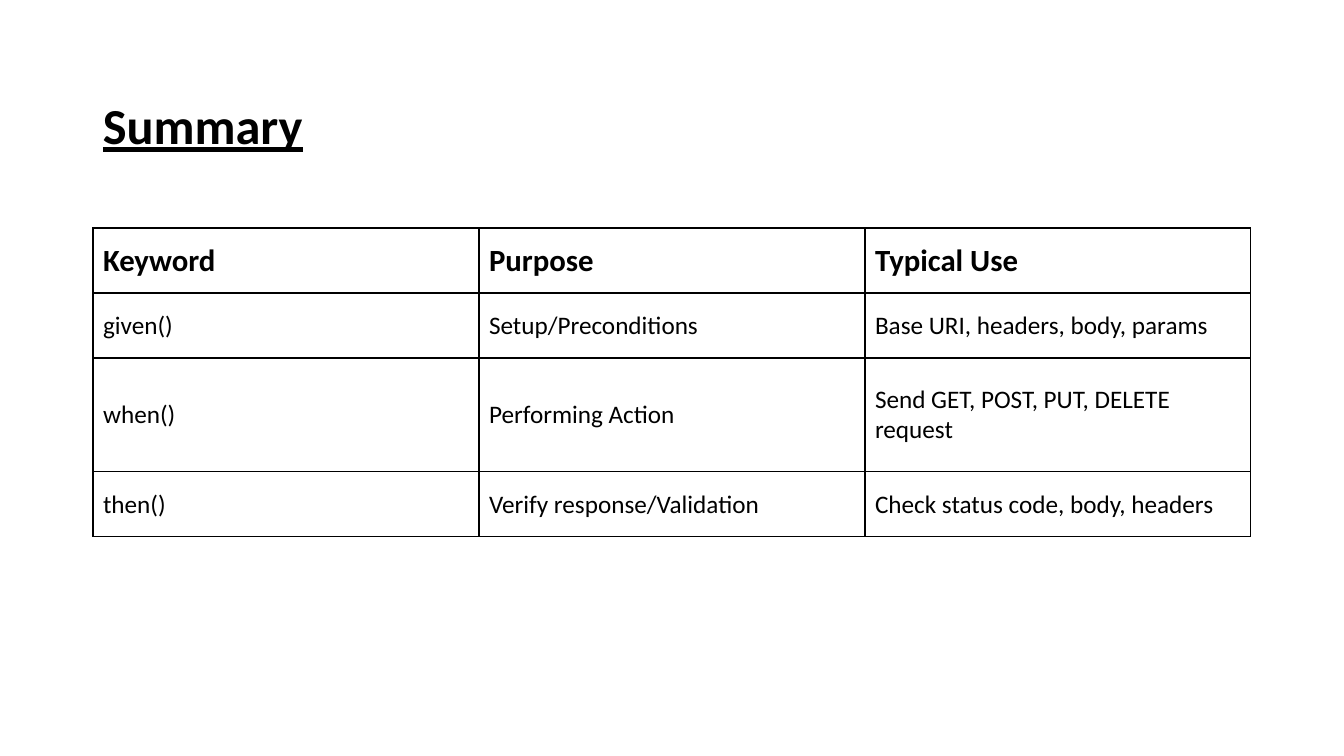
from dataclasses import dataclass

from lxml.etree import SubElement
from pptx import Presentation
from pptx.dml.color import RGBColor
from pptx.enum.text import MSO_ANCHOR
from pptx.oxml.ns import qn
from pptx.util import Pt

TITLE = "Summary"
HEADER = ("Keyword", "Purpose", "Typical Use")
KEYWORDS = [
    ("given()", "Setup/Preconditions", "Base URI, headers, body, params"),
    ("when()", "Performing Action", "Send GET, POST, PUT, DELETE request"),
    ("then()", "Verify response/Validation", "Check status code, body, headers"),
]


@dataclass(frozen=True)
class Theme:
    font: str = "Calibri"
    ink: str = "000000"
    title_size: int = 36
    header_size: int = 22
    body_size: int = 18
    border: int = 1


THEME = Theme()
SLIDE_WIDTH, SLIDE_HEIGHT = 1344, 756
LEFT, COLUMN_WIDTH = 93, 386
TITLE_TOP, TITLE_HEIGHT = 67, 122
TABLE_TOP = 228
ROW_HEIGHTS = (65, 65, 114, 65)
CONTENT_WIDTH = COLUMN_WIDTH * len(HEADER)


def px(length):
    return round(length * 914400 / 100.8)


def style(paragraph, size, bold):
    font = paragraph.font
    font.name = THEME.font
    font.size = Pt(size)
    font.bold = bold
    font.color.rgb = RGBColor.from_string(THEME.ink)


def add_borders(cell):
    properties = cell._tc.get_or_add_tcPr()
    for side in ("a:lnL", "a:lnR", "a:lnT", "a:lnB"):
        line = SubElement(properties, qn(side), w=str(Pt(THEME.border)))
        fill = SubElement(line, qn("a:solidFill"))
        SubElement(fill, qn("a:srgbClr"), val=THEME.ink)


def add_title(slide):
    frame = slide.shapes.add_textbox(
        px(LEFT), px(TITLE_TOP), px(CONTENT_WIDTH), px(TITLE_HEIGHT)
    ).text_frame
    frame.word_wrap = True
    frame.vertical_anchor = MSO_ANCHOR.MIDDLE
    heading = frame.paragraphs[0]
    heading.text = TITLE
    heading.line_spacing = 0.9
    style(heading, THEME.title_size, True)
    heading.font.underline = True


def add_keyword_table(slide):
    rows = [HEADER, *KEYWORDS]
    table = slide.shapes.add_table(
        len(rows), len(HEADER), px(LEFT), px(TABLE_TOP),
        px(CONTENT_WIDTH), px(sum(ROW_HEIGHTS)),
    ).table
    table.horz_banding = False
    for column in table.columns:
        column.width = px(COLUMN_WIDTH)
    for row_index, (texts, height) in enumerate(zip(rows, ROW_HEIGHTS)):
        table.rows[row_index].height = px(height)
        is_header = row_index == 0
        size = THEME.header_size if is_header else THEME.body_size
        for column_index, text in enumerate(texts):
            cell = table.cell(row_index, column_index)
            cell.text = text
            cell.vertical_anchor = MSO_ANCHOR.MIDDLE
            style(cell.text_frame.paragraphs[0], size, is_header)
            add_borders(cell)
            cell.fill.background()


def main():
    deck = Presentation()
    deck.slide_width, deck.slide_height = px(SLIDE_WIDTH), px(SLIDE_HEIGHT)
    slide = deck.slides.add_slide(deck.slide_layouts[6])
    add_title(slide)
    add_keyword_table(slide)
    deck.save("out.pptx")


if __name__ == "__main__":
    main()
